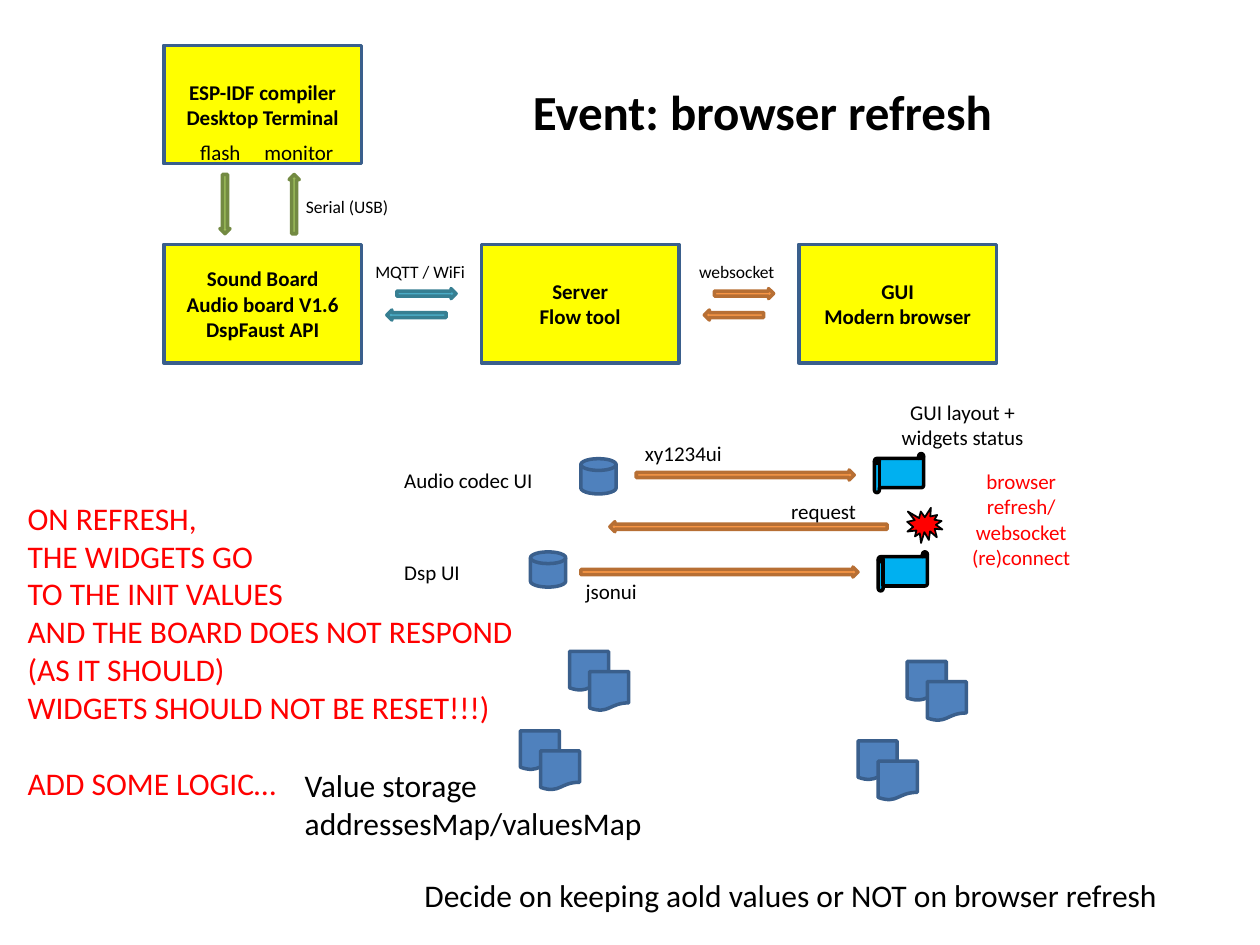
from dataclasses import dataclass
from pptx import Presentation
from pptx.dml.color import RGBColor
from pptx.enum import shapes, text
from pptx.util import Inches, Pt

KIND = shapes.MSO_SHAPE
ALIGN = text.PP_ALIGN
MID = text.MSO_ANCHOR.MIDDLE


@dataclass(frozen=True)
class Theme:
    font: str = "Calibri"
    black: str = "000000"
    red: str = "FF0000"
    box: tuple = ("FFFF00", "3A5F8C")
    store: tuple = ("4F81BD", "3A5F8C")
    scroll: tuple = ("00B0F0", "000000")
    burst: tuple = ("FF0000", "000000")
    teal: tuple = ("4BACC6", "377F92")
    orange: tuple = ("F79646", "B76F34")
    green: tuple = ("9BBB59", "738A42")
    small: int = 10
    body: int = 12
    large: int = 18
    title: int = 28


THEME = Theme()


def apply(item, **values):
    for name, value in values.items():
        setattr(item, name, value)


def write(frame, lines, size, color=THEME.black, bold=False, align=ALIGN.LEFT):
    for i, line in enumerate(lines):
        para = frame.paragraphs[0] if i == 0 else frame.add_paragraph()
        para.alignment = align
        run = para.add_run()
        run.text = line
        apply(run.font, name=THEME.font, size=Pt(size), bold=bold)
        run.font.color.rgb = RGBColor.from_string(color)


def shape(slide, kind, place, paint, weight=2, turn=0):
    item = slide.shapes.add_shape(kind, *map(Inches, place))
    fill, line = paint
    item.fill.solid()
    item.fill.fore_color.rgb = RGBColor.from_string(fill)
    item.line.color.rgb = RGBColor.from_string(line)
    item.line.width = Pt(weight)
    item.shadow.inherit = False
    item.rotation = turn
    return item


def box(slide, left, top, lines):
    item = shape(slide, KIND.RECTANGLE, (left, top, 1.57, 0.94), THEME.box)
    apply(item.text_frame, vertical_anchor=MID, word_wrap=True)
    write(item.text_frame, lines, THEME.body, bold=True, align=ALIGN.CENTER)


def arrow(slide, left, top, width, paint, turn=0):
    shape(slide, KIND.RIGHT_ARROW, (left, top, width, 0.08), paint, turn=turn)


def label(slide, place, lines, size=THEME.body, **style):
    frame = slide.shapes.add_textbox(*map(Inches, place)).text_frame
    apply(frame, word_wrap=False, auto_size=text.MSO_AUTO_SIZE.SHAPE_TO_FIT_TEXT)
    write(frame, lines, size, **style)
    return frame


def pages(slide, left, top):
    for step in (0, 0.16):
        place = (left + step, top + step, 0.31, 0.31)
        shape(slide, KIND.FLOWCHART_DOCUMENT, place, THEME.store)


def system(slide):
    names = (
        ("Sound Board", "Audio board V1.6", "DspFaust API"),
        ("Server", "Flow tool"),
        ("GUI", "Modern browser"),
    )
    for i, lines in enumerate(names):
        box(slide, 1.3 + 2.52 * i, 1.94, lines)
    for i, paint in enumerate((THEME.teal, THEME.orange)):
        left = 3.07 + 2.52 * i
        arrow(slide, left + 0.08, 2.29, 0.47, paint)
        arrow(slide, left, 2.46, 0.47, paint, 180)
    label(slide, (2.88, 2.02, 0.92, 0.27), ["MQTT / WiFi"], THEME.small)
    label(slide, (5.45, 2.02, 0.81, 0.27), ["websocket"], THEME.small)
    box(slide, 1.3, 0.36, ("ESP-IDF compiler", "Desktop Terminal"))
    for left, width, word in ((1.49, 0.52, "flash"), (2, 0.75, "monitor")):
        label(slide, (left, 1.06, width, 0.3), [word])
    for left, turn in ((1.55, 90), (2.1, 270)):
        arrow(slide, left, 1.58, 0.47, THEME.green, turn)
    label(slide, (2.33, 1.51, 0.86, 0.27), ["Serial (USB)"], THEME.small)


def flow(slide):
    for left, top in ((4.21, 4.38), (4.61, 3.64)):
        shape(slide, KIND.FLOWCHART_MAGNETIC_DISK, (left, top, 0.28, 0.28), THEME.store)
    for left, top in ((6.97, 4.38), (6.94, 3.6)):
        shape(slide, KIND.HORIZONTAL_SCROLL, (left, top, 0.39, 0.31), THEME.scroll)
    arrow(slide, 4.61, 4.5, 2.2, THEME.orange)
    arrow(slide, 5.05, 3.73, 1.73, THEME.orange)
    arrow(slide, 4.84, 4.14, 2.2, THEME.orange, 180)
    shape(slide, KIND.EXPLOSION1, (7.2, 4.03, 0.28, 0.28), THEME.burst, 1)
    for left, top, width, word in (
        (4.55, 4.54, 0.61, "jsonui"),
        (5.02, 3.45, 0.93, "xy1234ui"),
        (3.11, 3.66, 1.23, "Audio codec UI"),
        (3.11, 4.39, 0.65, "Dsp UI"),
        (6.18, 3.91, 0.72, "request"),
    ):
        label(slide, (left, top, width, 0.3), [word])
    label(slide, (7.6, 3.67, 1.01, 0.91),
          ("browser", "refresh/", "websocket", "(re)connect"),
          color=THEME.red, align=ALIGN.CENTER)
    label(slide, (7.05, 3.12, 1.18, 0.5), ("GUI layout +", "widgets status"),
          align=ALIGN.CENTER)


def notes(slide):
    label(slide, (4.13, 0.6, 3.89, 0.57), ["Event: browser refresh"],
          THEME.title, bold=True)
    label(slide, (2.32, 6.03, 2.91, 0.71),
          ("Value storage", "addressesMap/valuesMap"), THEME.large)
    label(slide, (3.27, 6.9, 6.09, 0.4),
          ["Decide on keeping aold values or NOT on browser refresh"], THEME.large)
    for left, top in ((4.13, 5.8), (4.52, 5.17), (6.81, 5.88), (7.2, 5.25)):
        pages(slide, left, top)
    frame = label(slide, (0.12, 3.91, 4.09, 2.52), (
        "ON REFRESH,",
        "THE WIDGETS GO",
        "TO THE INIT VALUES",
        "AND THE BOARD DOES NOT RESPOND",
        "(AS IT SHOULD)",
        "WIDGETS SHOULD NOT BE RESET!!!)",
        "ADD SOME LOGIC…",
    ), THEME.large, color=THEME.red)
    frame.paragraphs[-1].space_before = Pt(22)


def main():
    deck = Presentation()
    apply(deck, slide_width=Inches(10), slide_height=Inches(7.5))
    slide = deck.slides.add_slide(deck.slide_layouts[6])
    system(slide)
    flow(slide)
    notes(slide)
    deck.save("out.pptx")


main()
